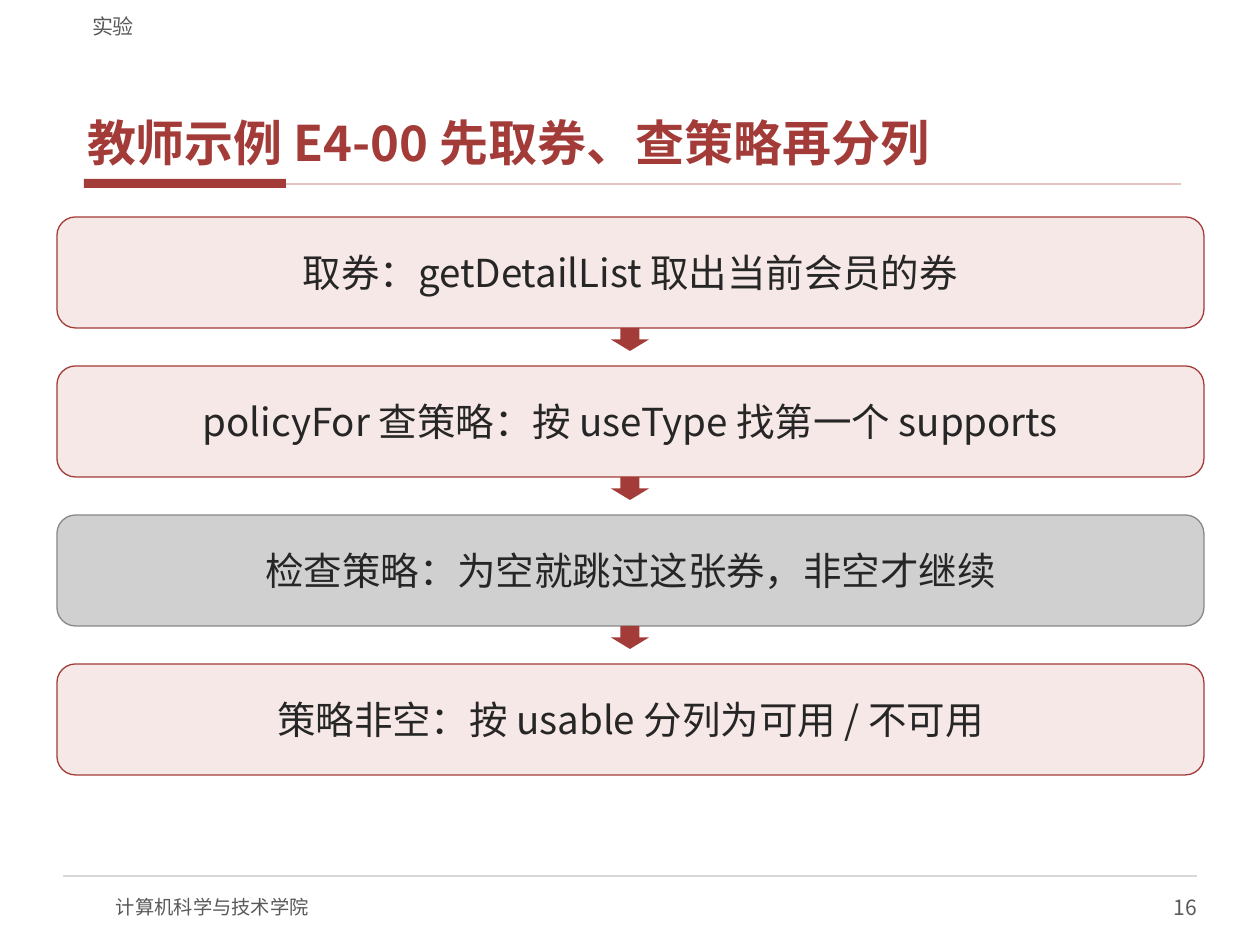
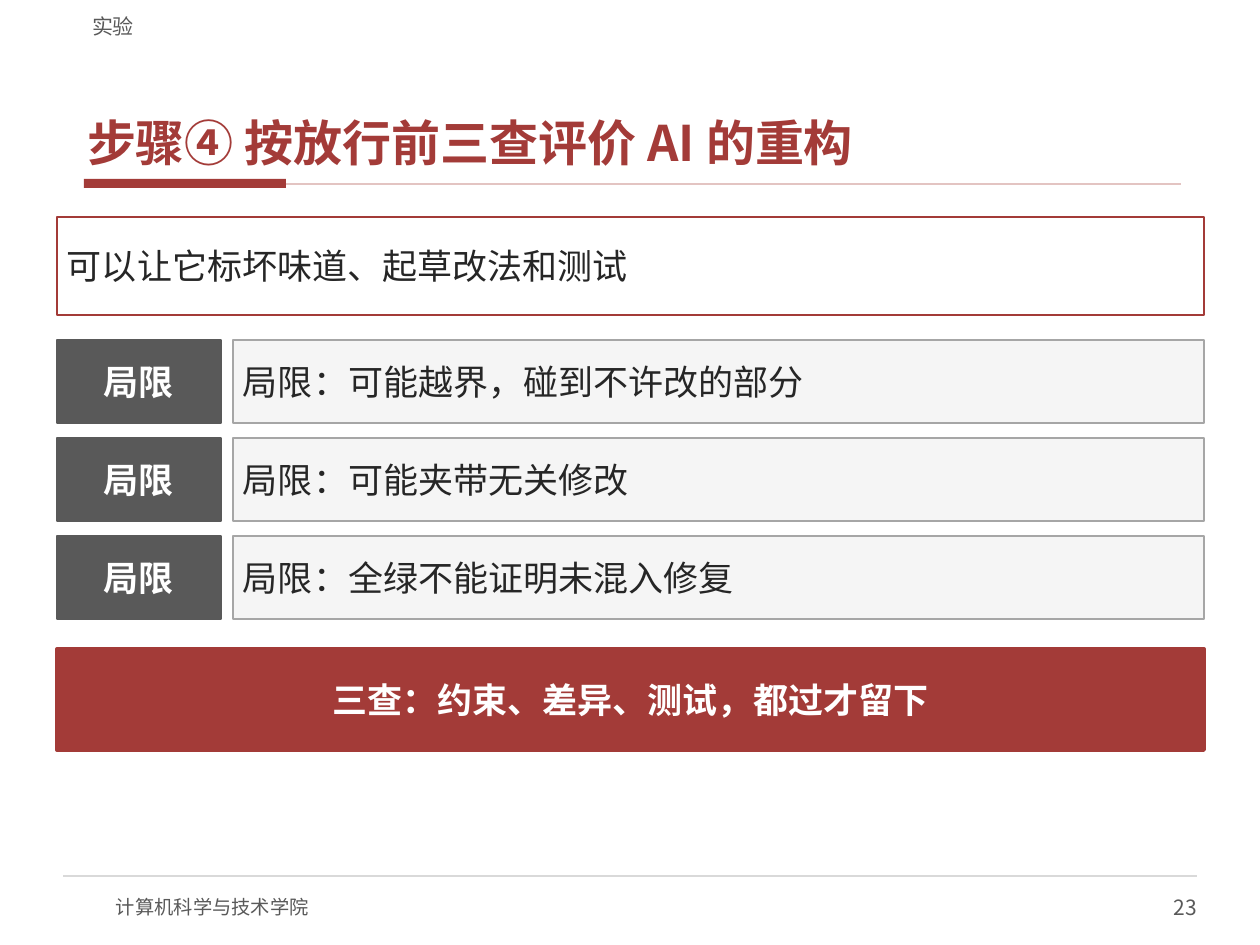
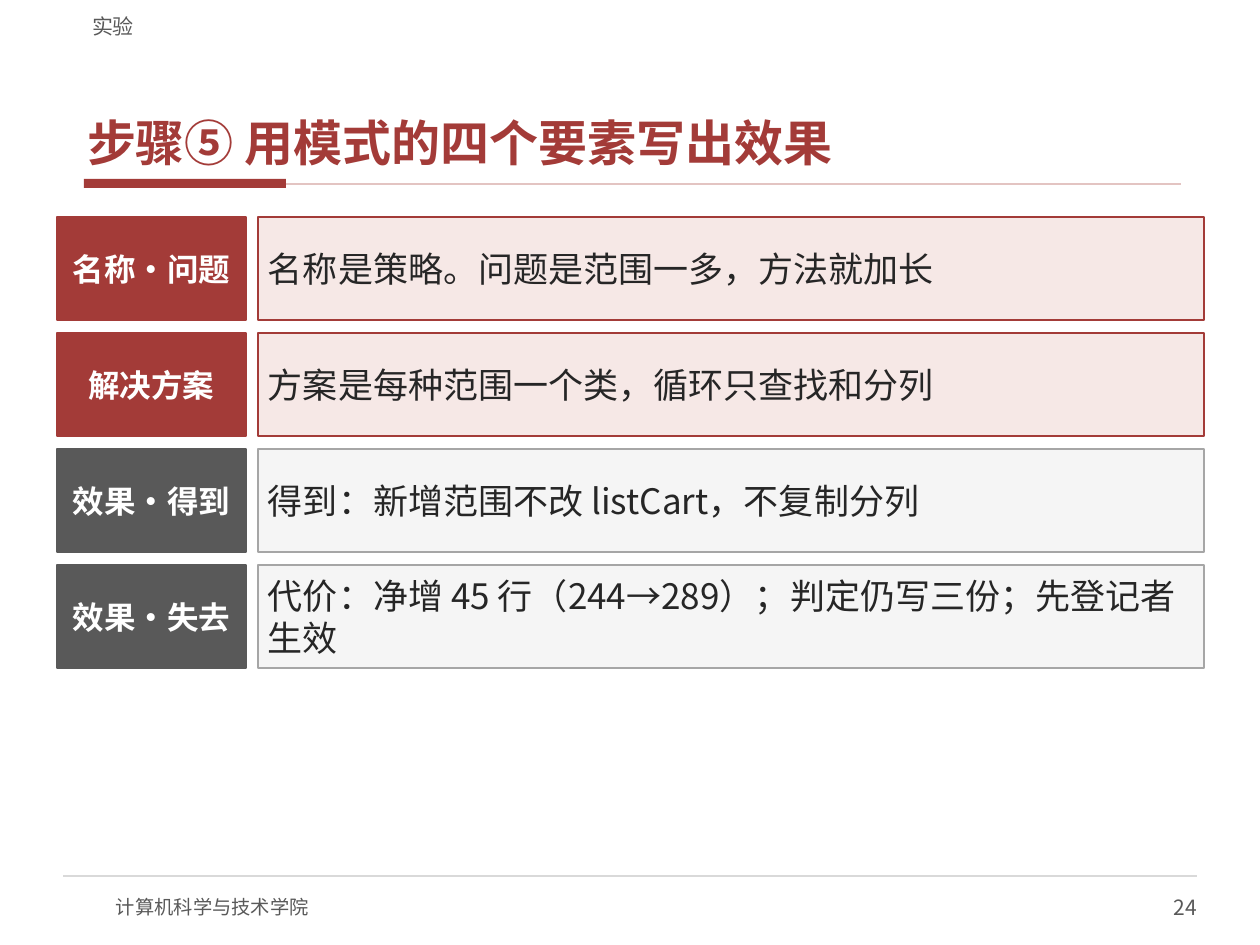
from lxml import etree
from pptx import Presentation
from pptx.dml.color import RGBColor
from pptx.enum.shapes import MSO_CONNECTOR, MSO_SHAPE
from pptx.enum.text import MSO_ANCHOR, MSO_AUTO_SIZE, PP_ALIGN
from pptx.oxml.ns import qn
from pptx.util import Emu, Pt

RECT, ROUND = MSO_SHAPE.RECTANGLE, MSO_SHAPE.ROUNDED_RECTANGLE
ARROW = MSO_SHAPE.DOWN_ARROW
LEFT, MID, RIGHT = PP_ALIGN.LEFT, PP_ALIGN.CENTER, PP_ALIGN.RIGHT
CENTRE, BOTTOM = MSO_ANCHOR.MIDDLE, MSO_ANCHOR.BOTTOM
STRAIGHT = MSO_CONNECTOR.STRAIGHT

FONT = "Noto Sans CJK SC"
RED, PINK, ROSE = "A33B38", "F6E8E6", "E3C4C2"
INK, DARK, WHITE = "262626", "595959", "FFFFFF"
PALE, EDGE, RULE = "F5F5F5", "A6A6A6", "D9D9D9"
GREY, STEEL = "D0D0D0", "888888"
PINKS = (RED, PINK, RED)  # label fill, text fill, text edge
GREYS = (DARK, PALE, EDGE)

DPI = 126
BODY = (57, 217, 1147)  # left, top, width of the content region
GAP = 12


def px(n):
    return Emu(round(n * 914400 / DPI))


def hue(code):
    return RGBColor.from_string(code)


def write(shape, text, size, color, bold=False, align=LEFT, anchor=CENTRE,
          pad=(0, 0), after=0):
    frame = shape.text_frame
    frame.word_wrap = True
    frame.auto_size = MSO_AUTO_SIZE.NONE
    frame.vertical_anchor = anchor
    frame.margin_left = frame.margin_right = px(pad[0])
    frame.margin_top = frame.margin_bottom = px(pad[1])
    frame.text = text
    para = frame.paragraphs[0]
    para.alignment = align
    para.space_before, para.space_after = Pt(0), Pt(after)
    font = para.font
    font.name, font.size, font.bold = FONT, Pt(size), bold
    font.color.rgb = hue(color)
    props = para._p.pPr.find(qn("a:defRPr"))
    etree.SubElement(props, qn("a:ea")).set("typeface", FONT)


def note(slide, box, text, size, **style):
    shape = slide.shapes.add_textbox(*map(px, box))
    write(shape, text, size, DARK, **style)


def block(slide, kind, box, fill, edge=None, width=1):
    shape = slide.shapes.add_shape(kind, *map(px, box))
    shape.shadow.inherit = False
    shape.fill.solid()
    shape.fill.fore_color.rgb = hue(fill)
    if edge:
        shape.line.color.rgb = hue(edge)
        shape.line.width = Pt(width)
    else:
        shape.line.fill.background()
    return shape


def rule(slide, left, right, y, color, width):
    line = slide.shapes.add_connector(STRAIGHT, px(left), px(y), px(right), px(y))
    line.line.color.rgb = hue(color)
    line.line.width = Pt(width)
    etree.SubElement(line._element.spPr, qn("a:effectLst"))


def page(deck, title, number):
    """Add a slide with its title, rules and footer."""
    slide = deck.slides.add_slide(deck.slide_layouts[5])
    block(slide, RECT, (84, 179, 202, 9), RED)
    rule(slide, 286, 1181, 184, ROSE, 1)
    rule(slide, 63, 1197, 876, RULE, 0.75)
    note(slide, (116, 882, 504, 50), "计算机科学与技术学院", 11)
    note(slide, (945, 882, 252, 50), str(number), 12, align=RIGHT)
    note(slide, (79, 5, 1102, 34), "实验", 12, anchor=BOTTOM, pad=(13, 0))
    head = slide.shapes.title
    head.left, head.top, head.width, head.height = map(px, (79, 42, 1102, 132))
    write(head, title, 28, RED, bold=True, anchor=BOTTOM, pad=(8, 3), after=2)
    return slide


def flow(slide, box, steps, marked):
    """Stack steps joined by arrows; the marked one is grey."""
    left, top, width = box
    tall, pitch, wide = 111, 149, 38
    for i, text in enumerate(steps):
        y = top + i * pitch
        fill, edge = (GREY, STEEL) if i == marked else (PINK, RED)
        step = block(slide, ROUND, (left, y, width, tall), fill, edge, 0.75)
        write(step, text, 22, INK, align=MID, pad=(8, 3), after=2)
        if i < len(steps) - 1:
            x = left + (width - wide) // 2
            block(slide, ARROW, (x, y + tall, wide, 23), RED)


def bar(slide, box, text, fill, edge, color=INK, size=20, width=1, **style):
    shape = block(slide, RECT, box, fill, edge, width)
    write(shape, text, size, color, pad=(10, 5), **style)


def rows(slide, box, items, label, tall, pitch, size):
    """Draw label and text pairs, one pair a row."""
    left, top, width = box
    shift = label + GAP
    for i, (name, text, (tag, fill, edge)) in enumerate(items):
        y = top + i * pitch
        bar(slide, (left, y, label, tall), name, tag, tag, WHITE, size,
            bold=True, align=MID)
        bar(slide, (left + shift, y, width - shift, tall), text, fill, edge)


def review(slide, box, intro, limits, verdict):
    left, top, width = box
    bar(slide, (left, top, width, 98), intro, WHITE, RED)
    items = [("局限", text, GREYS) for text in limits]
    rows(slide, (left, top + 123, width), items, 164, 83, 98, 20)
    bar(slide, (left, top + 432, width, 101), verdict, RED, RED, WHITE,
        width=2.25, bold=True, align=MID)


def main():
    deck = Presentation()
    deck.slide_width, deck.slide_height = px(1260), px(945)

    slide = page(deck, "教师示例 E4-00 先取券、查策略再分列", 16)
    flow(slide, BODY, [
        "取券：getDetailList 取出当前会员的券",
        "policyFor 查策略：按 useType 找第一个 supports",
        "检查策略：为空就跳过这张券，非空才继续",
        "策略非空：按 usable 分列为可用 / 不可用",
    ], marked=2)

    slide = page(deck, "步骤④ 按放行前三查评价 AI 的重构", 23)
    review(slide, BODY, "可以让它标坏味道、起草改法和测试", [
        "局限：可能越界，碰到不许改的部分",
        "局限：可能夹带无关修改",
        "局限：全绿不能证明未混入修复",
    ], "三查：约束、差异、测试，都过才留下")

    slide = page(deck, "步骤⑤ 用模式的四个要素写出效果", 24)
    rows(slide, BODY, [
        ("名称·问题", "名称是策略。问题是范围一多，方法就加长", PINKS),
        ("解决方案", "方案是每种范围一个类，循环只查找和分列", PINKS),
        ("效果·得到", "得到：新增范围不改 listCart，不复制分列", GREYS),
        ("效果·失去", "代价：净增 45 行（244→289）；判定仍写三份；先登记者生效", GREYS),
    ], 189, 103, 116, 18)

    deck.save("out.pptx")


if __name__ == "__main__":
    main()
